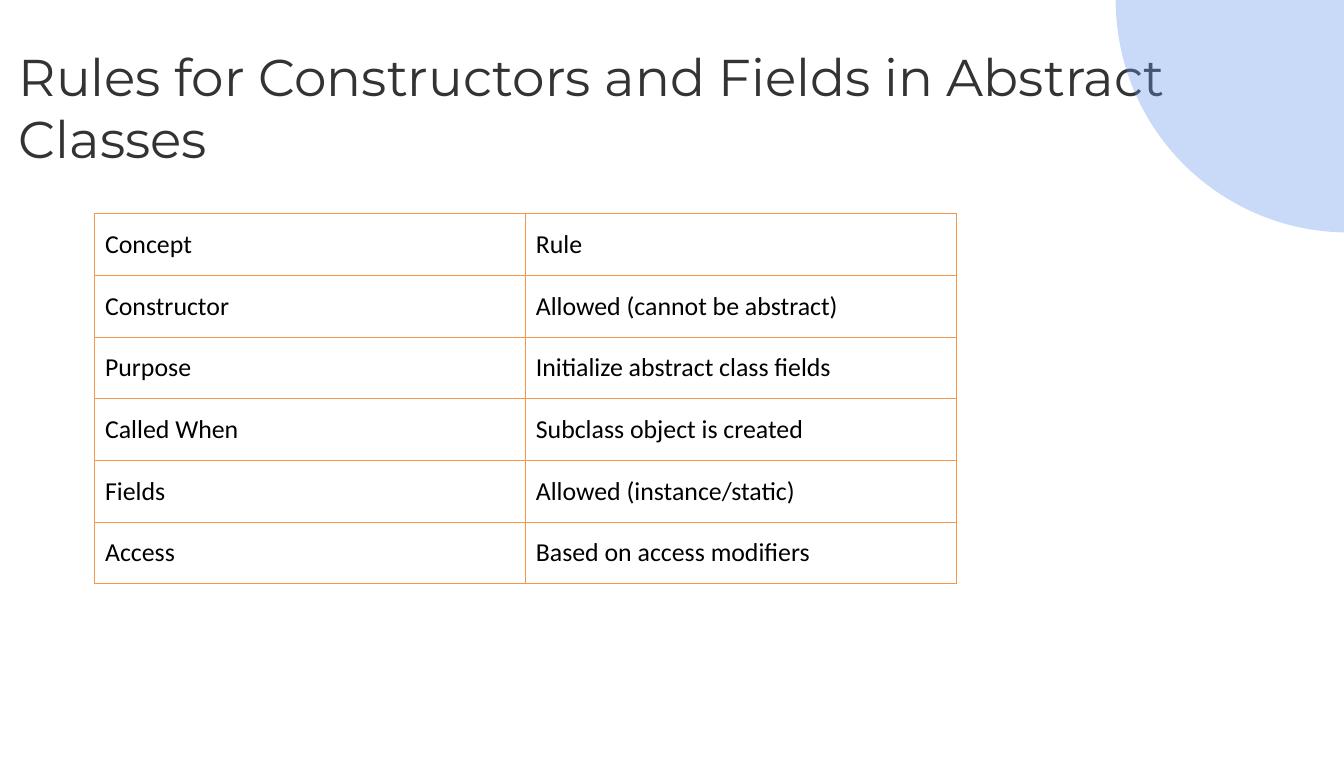
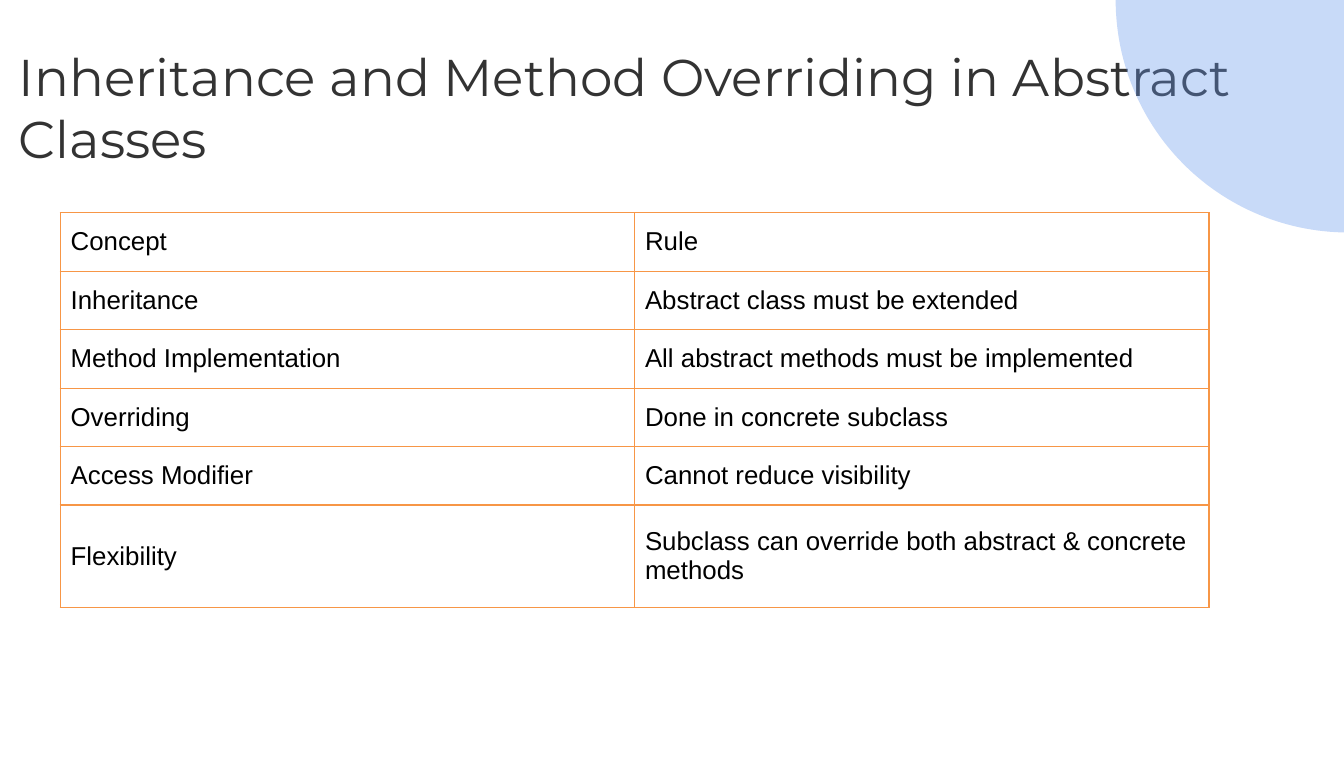
from dataclasses import dataclass
from math import cos, pi, sin

from lxml import etree
from pptx import Presentation
from pptx.dml.color import RGBColor
from pptx.enum.text import MSO_ANCHOR as Anchor, MSO_AUTO_SIZE as AutoSize, PP_ALIGN as Align
from pptx.oxml.ns import qn
from pptx.util import Pt

SLIDES = [
    {
        "title": "Rules for Constructors and Fields in Abstract Classes",
        "font": "Calibri",
        "origin": (66, 149),
        "column_width": 300,
        "row_heights": [43] * 6,
        "rows": [
            ("Concept", "Rule"),
            ("Constructor", "Allowed (cannot be abstract)"),
            ("Purpose", "Initialize abstract class fields"),
            ("Called When", "Subclass object is created"),
            ("Fields", "Allowed (instance/static)"),
            ("Access", "Based on access modifiers"),
        ],
    },
    {
        "title": "Inheritance and Method Overriding in Abstract Classes",
        "font": "Arial",
        "origin": (42, 148.25),
        "column_width": 400,
        "row_heights": [40.75] * 5 + [71.25],
        "rows": [
            ("Concept", "Rule"),
            ("Inheritance", "Abstract class must be extended"),
            ("Method Implementation", "All abstract methods must be implemented"),
            ("Overriding", "Done in concrete subclass"),
            ("Access Modifier", "Cannot reduce visibility"),
            ("Flexibility", "Subclass can override both abstract & concrete methods"),
        ],
    },
]


@dataclass(frozen=True)
class Theme:
    title_color: str = "333333"
    text_color: str = "000000"
    border_color: str = "F79646"
    circle_color: str = "6495ED"
    circle_opacity: int = 35
    title_font: str = "Montserrat"
    title_size: int = 36
    table_size: int = 18
    border_width: int = 1


THEME = Theme()
SLIDE_WIDTH, SLIDE_HEIGHT = 936, 540
CIRCLE_CENTER_X, CIRCLE_RADIUS, CIRCLE_STEPS = 939, 162, 60


def write_text(frame, text, *, font, size, color, anchor, space_before=0):
    frame.word_wrap = True
    frame.vertical_anchor = anchor
    paragraph = frame.paragraphs[0]
    paragraph.alignment = Align.LEFT
    paragraph.space_before = Pt(space_before)
    run = paragraph.add_run()
    run.text = text
    run.font.name = font
    run.font.size = Pt(size)
    run.font.bold = False
    run.font.color.rgb = RGBColor.from_string(color)


def add_title(slide, text):
    title = slide.shapes.title
    title.left, title.top, title.width, title.height = Pt(12), Pt(30), Pt(918), Pt(88.5)
    frame = title.text_frame
    frame.margin_left = frame.margin_top = Pt(1)
    frame.margin_right = frame.margin_bottom = Pt(0)
    frame.auto_size = AutoSize.SHAPE_TO_FIT_TEXT
    write_text(frame, text, font=THEME.title_font, size=THEME.title_size,
               color=THEME.title_color, anchor=Anchor.TOP, space_before=1)


def add_corner_circle(slide):
    """Draw the part of a circle that shows inside the top right corner."""
    angles = [pi - pi / 2 * step / CIRCLE_STEPS for step in range(CIRCLE_STEPS + 1)]
    arc = [(min(CIRCLE_CENTER_X + CIRCLE_RADIUS * cos(angle), SLIDE_WIDTH),
            CIRCLE_RADIUS * sin(angle)) for angle in angles]
    corner = (SLIDE_WIDTH, 0)
    builder = slide.shapes.build_freeform(Pt(corner[0]), Pt(corner[1]))
    builder.add_line_segments([(Pt(x), Pt(y)) for x, y in arc], close=True)
    circle = builder.convert_to_shape()
    circle.shadow.inherit = False
    circle.line.fill.background()
    circle.fill.solid()
    circle.fill.fore_color.rgb = RGBColor.from_string(THEME.circle_color)
    color = circle.fill._xPr.find(qn("a:solidFill"))[0]
    etree.SubElement(color, qn("a:alpha"), val=str(THEME.circle_opacity * 1000))


def add_borders(cell):
    properties = cell._tc.get_or_add_tcPr()
    for side in ("a:lnL", "a:lnR", "a:lnT", "a:lnB"):
        line = etree.SubElement(properties, qn(side), w=str(Pt(THEME.border_width)))
        fill = etree.SubElement(line, qn("a:solidFill"))
        etree.SubElement(fill, qn("a:srgbClr"), val=THEME.border_color)


def add_rules_table(slide, content):
    rows, heights, width = content["rows"], content["row_heights"], content["column_width"]
    left, top = content["origin"]
    columns = len(rows[0])
    table = slide.shapes.add_table(len(rows), columns, Pt(left), Pt(top),
                                   Pt(width * columns), Pt(sum(heights))).table
    table.first_row = table.horz_banding = False
    for column in table.columns:
        column.width = Pt(width)
    for row, height, texts in zip(table.rows, heights, rows):
        row.height = Pt(height)
        for cell, text in zip(row.cells, texts):
            add_borders(cell)
            cell.fill.background()
            write_text(cell.text_frame, text, font=content["font"], size=THEME.table_size,
                       color=THEME.text_color, anchor=Anchor.MIDDLE)
            cell.vertical_anchor = Anchor.MIDDLE


def main():
    presentation = Presentation()
    presentation.slide_width, presentation.slide_height = Pt(SLIDE_WIDTH), Pt(SLIDE_HEIGHT)
    title_only = presentation.slide_layouts.get_by_name("Title Only")
    for content in SLIDES:
        slide = presentation.slides.add_slide(title_only)
        add_title(slide, content["title"])
        add_corner_circle(slide)
        add_rules_table(slide, content)
    presentation.save("out.pptx")


if __name__ == "__main__":
    main()
